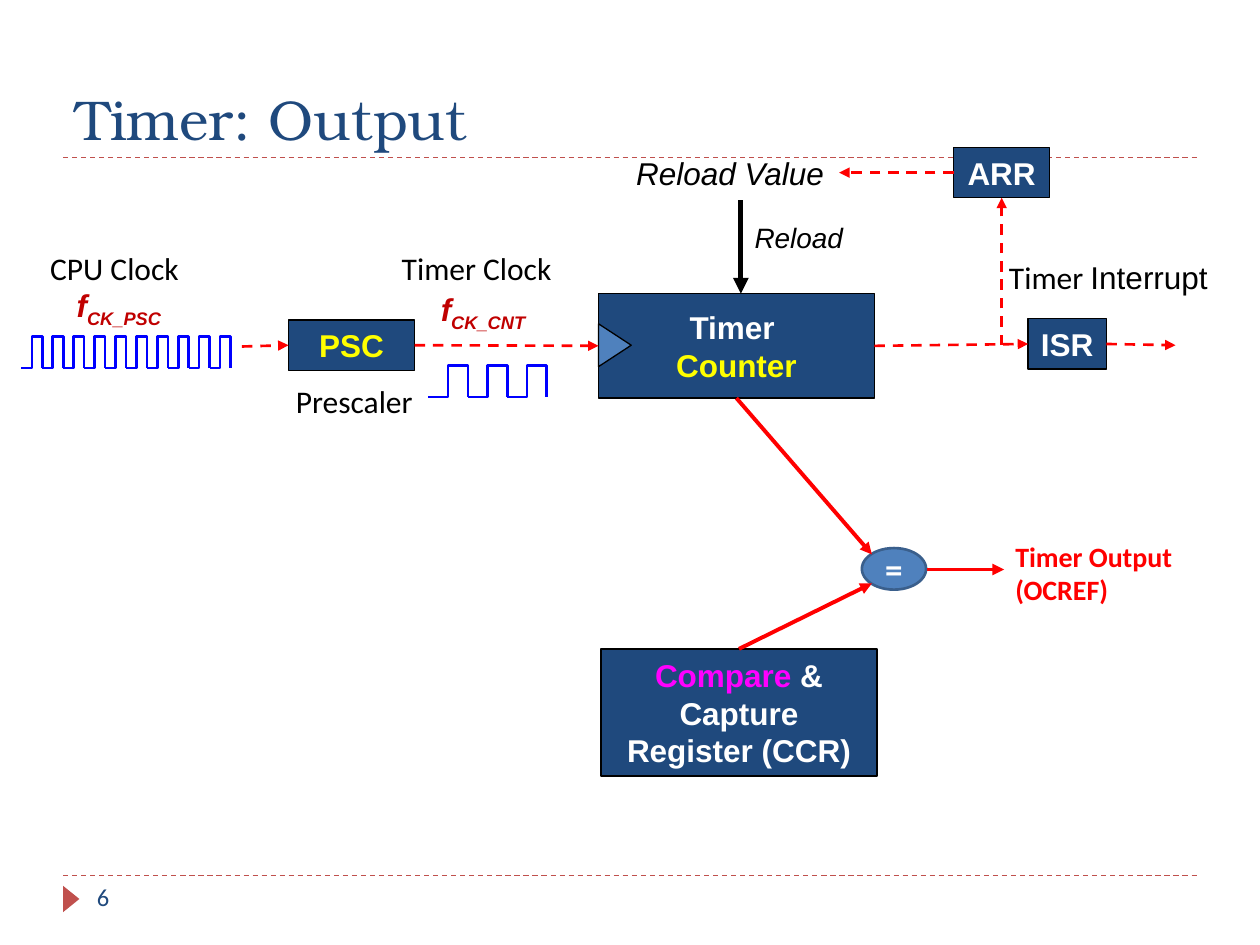
"""Build the "Timer: Output" slide: a timer block diagram with its signals."""
from dataclasses import dataclass
from typing import Optional

from lxml import etree
from pptx import Presentation
from pptx import util as u
from pptx.dml.color import RGBColor
from pptx.enum import dml, shapes, text
from pptx.oxml.ns import qn

PX = u.Inches(1) // 100

NAVY = RGBColor(0x1F, 0x49, 0x7D)
BLUE = RGBColor(0x4F, 0x81, 0xBD)
EDGE = RGBColor(0x3A, 0x5F, 0x8C)
BRICK = RGBColor(0xC0, 0x50, 0x4D)
CRIMSON = RGBColor(0xC0, 0x00, 0x00)
RED = RGBColor(0xFF, 0x00, 0x00)
SIGNAL = RGBColor(0x00, 0x00, 0xFF)
YELLOW = RGBColor(0xFF, 0xFF, 0x00)
MAGENTA = RGBColor(0xFF, 0x00, 0xFF)
BLACK = RGBColor(0x00, 0x00, 0x00)
WHITE = RGBColor(0xFF, 0xFF, 0xFF)

SHAPE = shapes.MSO_SHAPE
TOP, LEFT, BOTTOM, RIGHT = range(4)


@dataclass(frozen=True)
class Span:
    words: str
    color: Optional[RGBColor] = None
    font: Optional[str] = None
    subscript: bool = False


@dataclass(frozen=True)
class Label:
    at: tuple[int, int, int, int]
    lines: list[list[Span]]
    color: RGBColor = BLACK
    font: str = "Calibri"
    size: int = 18
    bold: bool = False
    italic: bool = False
    wrap: bool = False
    anchor: text.MSO_ANCHOR = text.MSO_ANCHOR.TOP


@dataclass(frozen=True)
class Block:
    at: tuple[int, int, int, int]
    lines: list[list[Span]]
    wrap: bool = False


@dataclass(frozen=True)
class Link:
    start: tuple[int, int]
    end: tuple[int, int]
    source: Optional[tuple[str, int]] = None
    target: Optional[tuple[str, int]] = None
    color: RGBColor = RED
    width: float = 1.5
    dashed: bool = True
    arrow: bool = True


@dataclass(frozen=True)
class Wave:
    left: int
    top: int
    width: int
    height: int
    pulses: int


RULES = [Link((50, y), (950, y), color=BRICK, width=0.75, arrow=False) for y in (695, 125)]

LABELS = [
    Label((50, 17, 900, 108), [[Span("Timer: Output")]], NAVY, "TeX Gyre Bonum", 32,
          wrap=True, anchor=text.MSO_ANCHOR.BOTTOM),
    Label((67, 695, 217, 40), [[Span("6")]], NAVY, size=14, wrap=True),
    Label((495, 117, 171, 40), [[Span("Reload Value")]], font="Arial", italic=True),
    Label((589, 170, 105, 37), [[Span("Reload")]], font="Arial", size=16, italic=True, wrap=True),
    Label((51, 222, 97, 40), [[Span("f"), Span("CK_PSC", subscript=True)]],
          CRIMSON, "Arial", bold=True, italic=True),
    Label((340, 225, 97, 40), [[Span("f"), Span("CK_CNT", subscript=True)]],
          CRIMSON, "Arial", bold=True, italic=True),
    Label((791, 200, 184, 40), [[Span("Timer "), Span("Interrupt", font="Arial")]]),
    Label((225, 298, 114, 40), [[Span("Prescaler")]]),
    Label((30, 193, 136, 40), [[Span("CPU Clock")]]),
    Label((309, 193, 150, 40), [[Span("Timer Clock")]]),
    Label((796, 423, 178, 64), [[Span("Timer Output")], [Span("(OCREF)")]],
          RED, size=16, bold=True, wrap=True),
]

BLOCKS = {
    "counter": Block((475, 233, 219, 83), [[Span("Timer ")], [Span("Counter", YELLOW)]]),
    "isr": Block((816, 253, 62, 40), [[Span("ISR")]]),
    "psc": Block((229, 254, 100, 40), [[Span("PSC", YELLOW)]]),
    "arr": Block((757, 117, 76, 40), [[Span("ARR")]]),
    "ccr": Block((477, 515, 219, 101),
                 [[Span("Compare", MAGENTA), Span(" & Capture Register (CCR)")]], wrap=True),
}

LINKS = [
    Link((192, 275), (229, 275), target=("psc", LEFT)),
    Link((329, 274), (475, 274), ("psc", RIGHT), ("counter", LEFT)),
    Link((694, 274), (816, 273), ("counter", RIGHT), ("isr", LEFT)),
    Link((878, 273), (933, 274), ("isr", RIGHT)),
    Link((795, 274), (795, 157), target=("arr", BOTTOM)),
    Link((758, 137), (666, 137), ("arr", LEFT)),
    Link((588, 159), (588, 233), color=BLACK, width=3, dashed=False),
    Link((587, 515), (692, 463), ("ccr", TOP), width=2.25, dashed=False),
    Link((584, 316), (692, 440), ("counter", BOTTOM), width=2.25, dashed=False),
    Link((736, 452), (797, 452), width=2.25, dashed=False),
]

WAVES = [Wave(17, 267, 166, 25, 10), Wave(340, 290, 94, 25, 3)]


def to_emu(lengths: tuple[int, ...]) -> list[int]:
    return [length * PX for length in lengths]


def write(frame, lines: list[list[Span]], *, color=WHITE, font="Arial", size=18, bold=False,
          italic=False, wrap=False, align=text.PP_ALIGN.LEFT, anchor=text.MSO_ANCHOR.MIDDLE):
    frame.word_wrap = wrap
    frame.vertical_anchor = anchor
    for index, spans in enumerate(lines):
        paragraph = frame.add_paragraph() if index else frame.paragraphs[0]
        paragraph.alignment = align
        for span in spans:
            run = paragraph.add_run()
            run.text = span.words
            run.font.name = span.font or font
            run.font.size = u.Pt(size)
            run.font.bold, run.font.italic = bold, italic
            run.font.color.rgb = span.color or color
            if span.subscript:
                run.font._element.set("baseline", "-25000")


def add_label(slide, label: Label):
    box = slide.shapes.add_textbox(*to_emu(label.at))
    write(box.text_frame, label.lines, color=label.color, font=label.font, size=label.size,
          bold=label.bold, italic=label.italic, wrap=label.wrap, anchor=label.anchor)


def add_figure(slide, preset, at: tuple[int, ...], fill: RGBColor, edge: Optional[RGBColor] = None,
               width: float = 0.75, rotation: int = 0):
    figure = slide.shapes.add_shape(preset, *to_emu(at))
    figure.shadow.inherit = False
    figure.rotation = rotation
    figure.fill.solid()
    figure.fill.fore_color.rgb = fill
    if edge is None:
        figure.line.fill.background()
    else:
        figure.line.color.rgb = edge
        figure.line.width = u.Pt(width)
    return figure


def add_block(slide, block: Block):
    rectangle = add_figure(slide, SHAPE.RECTANGLE, block.at, NAVY, BLACK)
    write(rectangle.text_frame, block.lines, bold=True, wrap=block.wrap,
          align=text.PP_ALIGN.CENTER)
    return rectangle


def add_link(slide, link: Link, blocks: dict):
    line = slide.shapes.add_connector(shapes.MSO_CONNECTOR.STRAIGHT,
                                      *to_emu(link.start + link.end))
    if link.source:
        line.begin_connect(blocks[link.source[0]], link.source[1])
    if link.target:
        line.end_connect(blocks[link.target[0]], link.target[1])
    line.line.color.rgb = link.color
    line.line.width = u.Pt(link.width)
    if link.dashed:
        line.line.dash_style = dml.MSO_LINE.DASH
    if link.arrow:
        etree.SubElement(line.line._get_or_add_ln(), qn("a:tailEnd"), type="triangle")
    etree.SubElement(line._element.spPr, qn("a:effectLst"))


def add_wave(slide, wave: Wave):
    group = slide.shapes.add_group_shape()
    left, top, width, height = to_emu((wave.left, wave.top, wave.width, wave.height))
    period, base = width // wave.pulses, top + height
    for start in range(left, left + period * wave.pulses, period):
        middle, end = start + period // 2, start + period
        outline = group.shapes.build_freeform(start, base)
        outline.add_line_segments([(middle, base), (middle, top), (end, top), (end, base)],
                                  close=False)
        pulse = outline.convert_to_shape()
        pulse.shadow.inherit = False
        pulse.fill.background()
        pulse.line.color.rgb = SIGNAL
        pulse.line.width = u.Pt(1.5)


def main():
    deck = Presentation()
    deck.slide_width, deck.slide_height = to_emu((1000, 750))
    slide = deck.slides.add_slide(deck.slide_layouts[6])
    for rule in RULES:
        add_link(slide, rule, {})
    add_figure(slide, SHAPE.ISOSCELES_TRIANGLE, (46, 707, 21, 13), BRICK, rotation=90)
    for label in LABELS:
        add_label(slide, label)
    blocks = {name: add_block(slide, block) for name, block in BLOCKS.items()}
    add_figure(slide, SHAPE.ISOSCELES_TRIANGLE, (471, 261, 34, 26), BLUE, BLACK, rotation=90)
    comparator = add_figure(slide, SHAPE.OVAL, (684, 435, 51, 33), BLUE, EDGE, 1.5)
    write(comparator.text_frame, [[Span("=")]], font="Calibri", size=20, bold=True, wrap=True,
          align=text.PP_ALIGN.CENTER)
    for wave in WAVES:
        add_wave(slide, wave)
    for link in LINKS:
        add_link(slide, link, blocks)
    deck.save("out.pptx")


if __name__ == "__main__":
    main()
